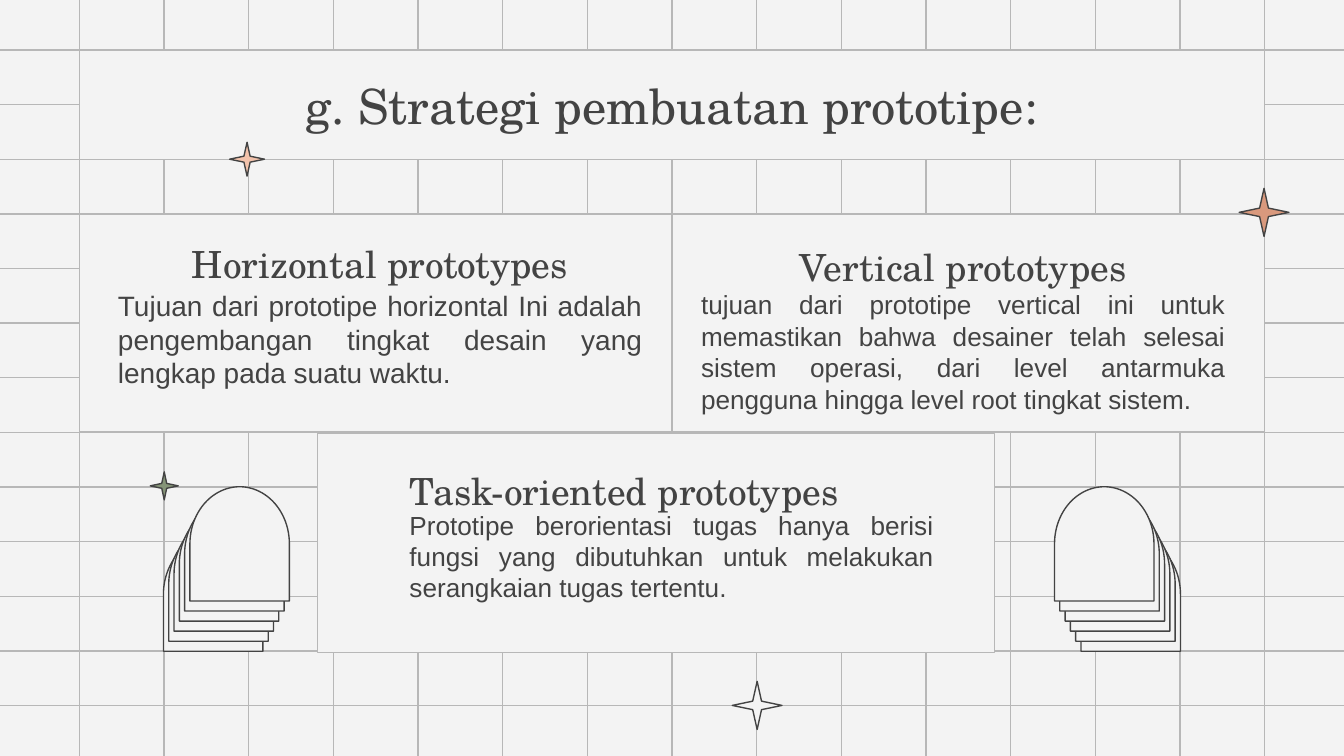
from itertools import product

from lxml.etree import SubElement
from pptx import Presentation
from pptx.dml.color import RGBColor
from pptx.enum.shapes import MSO_CONNECTOR, MSO_SHAPE
from pptx.enum.text import MSO_ANCHOR, PP_ALIGN
from pptx.oxml.ns import qn
from pptx.util import Cm, Pt

COLORS = {
    "paper": "F3F3F3",
    "grid": "B7B7B7",
    "ink": "434343",
    "peach": "F2C2AB",
    "terracotta": "D9997D",
    "sage": "859477",
}
HEADING = {"name": "TeX Gyre Schola", "size": Pt(20)}
TITLE = HEADING | {"size": Pt(26)}
BODY = {"name": "Arial", "size": Pt(14)}
LARGE_BODY = BODY | {"size": Pt(15)}

CENTER_X, CENTER_Y = 12.7, 7.14
COLUMN_GAP, ROW_GAP = 1.6, 1.0325
TEXT_WIDTH, BODY_HEIGHT = 10.41, 2.77


def color(name):
    return RGBColor.from_string(COLORS[name])


def set_values(target, values):
    for name, value in values.items():
        setattr(target, name, value)


def paint(shape, fill, line):
    shape.fill.solid()
    shape.fill.fore_color.rgb = color(fill)
    shape.line.color.rgb = color(line)
    shape.line.width = Pt(0.75)


def add_figure(page, kind, left, top, width, height, fill="paper", line="ink"):
    figure = page.shapes.add_shape(kind, Cm(left), Cm(top), Cm(width), Cm(height))
    figure.shadow.inherit = False
    paint(figure, fill, line)
    return figure


def add_panel(page, *place):
    add_figure(page, MSO_SHAPE.RECTANGLE, *place, line="grid")


def add_star(page, left, top, width, height, fill):
    star = add_figure(page, MSO_SHAPE.STAR_4_POINT, left, top, width, height, fill)
    star.adjustments[0] = 0.125


def add_grid_line(page, *ends):
    line = page.shapes.add_connector(MSO_CONNECTOR.STRAIGHT, *map(Cm, ends))
    line.line.color.rgb = color("grid")
    line.line.width = Pt(0.75)
    SubElement(line._element.spPr, qn("a:effectLst"))


def add_grid(page):
    columns = [CENTER_X + COLUMN_GAP * step for step in range(-7, 8)]
    rows = [CENTER_Y + ROW_GAP * step for step in range(-6, 7)]
    for (top, bottom), x in product([(-0.08, CENTER_Y), (CENTER_Y, 14.38)], columns):
        add_grid_line(page, x, top, x, bottom)
    for (left, right), y in product([(-0.1, CENTER_X), (CENTER_X, 25.5)], rows):
        add_grid_line(page, left, y, right, y)


def write(frame, text, font, align, anchor, space_after=0):
    margins = ("margin_left", "margin_right", "margin_top", "margin_bottom")
    set_values(frame, dict.fromkeys(margins, Cm(0.25)))
    set_values(frame, {"word_wrap": True, "vertical_anchor": anchor})
    para = frame.paragraphs[0]
    set_values(para, {"alignment": align, "space_after": Pt(space_after)})
    span = para.add_run()
    span.text = text
    set_values(span.font, font)
    span.font.color.rgb = color("ink")


def add_text(page, left, top, height, text, font, align, anchor):
    box = page.shapes.add_textbox(Cm(left), Cm(top), Cm(TEXT_WIDTH), Cm(height))
    write(box.text_frame, text, font, align, anchor, 12)


def add_heading(page, left, top, height, text, align=PP_ALIGN.CENTER):
    add_text(page, left, top, height, text, HEADING, align, MSO_ANCHOR.BOTTOM)


def add_body(page, left, top, text, font=BODY):
    add_text(page, left, top, BODY_HEIGHT, text, font, PP_ALIGN.JUSTIFY, MSO_ANCHOR.TOP)


def add_title(page, text):
    title = page.shapes.title
    place = {"left": 1.5, "top": 0.95, "width": 22.4, "height": 2.07}
    set_values(title, {name: Cm(value) for name, value in place.items()})
    paint(title, "paper", "grid")
    write(title.text_frame, text, TITLE, PP_ALIGN.CENTER, MSO_ANCHOR.MIDDLE)
    title._element.getparent().append(title._element)


def add_arches(page, left, shift):
    for step in range(6):
        place = (left + shift * step, 10.29 - 0.19 * step, 2.16, 1.88)
        arch = add_figure(page, MSO_SHAPE.FLOWCHART_DELAY, *place)
        arch.rotation = 270


def main():
    deck = Presentation()
    set_values(deck, {"slide_width": Cm(25.4), "slide_height": Cm(14.29)})
    page = deck.slides.add_slide(deck.slide_layouts[5])
    page.background.fill.solid()
    page.background.fill.fore_color.rgb = color("paper")

    add_grid(page)
    add_star(page, 13.84, 12.88, 0.94, 0.91, "paper")
    add_panel(page, 1.5, 4.05, 11.2, 4.12)
    add_panel(page, 12.7, 4.05, 11.2, 4.12)
    add_panel(page, 6, 8.2, 12.8, 4.14)
    add_title(page, "g. Strategi pembuatan prototipe:")

    add_heading(page, 13, 4.29, 1.42, "Vertical prototypes")
    add_body(page, 13, 5.21, "tujuan dari prototipe vertical ini untuk memastikan bahwa desainer telah selesai sistem operasi, dari level antarmuka pengguna hingga level root tingkat sistem.")
    add_heading(page, 1.98, 4.47, 1.19, "Horizontal prototypes")
    add_body(page, 1.98, 5.21, "Tujuan dari prototipe horizontal Ini adalah pengembangan tingkat desain yang lengkap pada suatu waktu.", LARGE_BODY)
    add_heading(page, 7.49, 8.43, 1.52, "Task-oriented prototypes", PP_ALIGN.JUSTIFY)
    add_body(page, 7.49, 9.37, "Prototipe berorientasi tugas hanya berisi fungsi yang dibutuhkan untuk melakukan serangkaian tugas tertentu.")

    add_arches(page, 20.29, -0.1)
    add_arches(page, 2.95, 0.1)
    add_star(page, 4.34, 2.69, 0.66, 0.64, "peach")
    add_star(page, 23.42, 3.56, 0.94, 0.91, "terracotta")
    add_star(page, 2.84, 8.92, 0.53, 0.53, "sage")
    deck.save("out.pptx")


if __name__ == "__main__":
    main()
